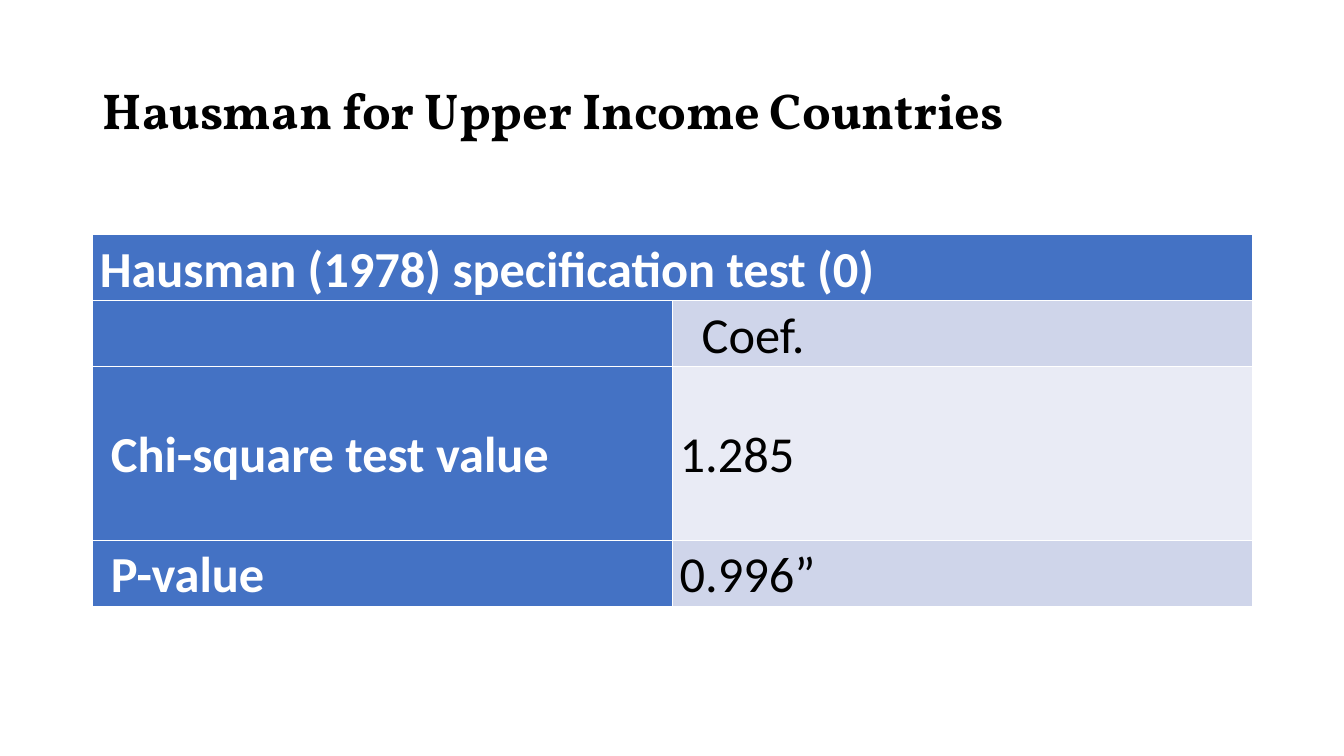
import pptx
import pptx.dml.color
import pptx.enum.text
import pptx.util

Inches = pptx.util.Inches
Pt = pptx.util.Pt
ANCHOR = pptx.enum.text.MSO_ANCHOR
ALIGN = pptx.enum.text.PP_ALIGN

HEADER_FILL = "4472C4"
BAND_FILLS = ["CFD5EA", "E9EBF5"]
SPACE_WIDTH = 0.11
ROW_HEIGHTS = [0.63, 0.63, 1.72, 0.65]
HEADING = "Hausman (1978) specification test (0)"
RESULTS = [
    ("", 0, "Coef.", 2),
    ("Chi-square test value", 1, "1.285", 0),
    ("P-value", 1, "0.996”", 0),
]


def color(value):
    return pptx.dml.color.RGBColor.from_string(value)


def style_text(paragraph, font_name, text_color, bold, alignment, line_spacing):
    paragraph.alignment = alignment
    paragraph.line_spacing = line_spacing
    paragraph.font.name = font_name
    paragraph.font.size = Pt(36)
    paragraph.font.bold = bold
    paragraph.font.color.rgb = color(text_color)


def add_title(slide, left, top, width, height):
    title = slide.shapes.title
    title.left, title.top = Inches(left), Inches(top)
    title.width, title.height = Inches(width), Inches(height)
    frame = title.text_frame
    frame.text = "Hausman for Upper Income Countries"
    frame.word_wrap = True
    frame.auto_size = pptx.enum.text.MSO_AUTO_SIZE.NONE
    frame.vertical_anchor = ANCHOR.MIDDLE
    style_text(frame.paragraphs[0], "Vollkorn", "000000", True, ALIGN.LEFT, 0.9)


def fill_cell(cell, text, fill, text_color, bold, indent=0):
    cell.text = text
    cell.fill.solid()
    cell.fill.fore_color.rgb = color(fill)
    cell.vertical_anchor = ANCHOR.MIDDLE
    cell.margin_left = Inches(0.07 + indent * SPACE_WIDTH)
    cell.margin_right = Inches(0.07)
    cell.margin_top = cell.margin_bottom = 0
    style_text(cell.text_frame.paragraphs[0], "Calibri", text_color, bold, ALIGN.JUSTIFY, 1.07)


def add_results_table(slide, left, top, width, height):
    table = slide.shapes.add_table(
        len(ROW_HEIGHTS), 2, Inches(left), Inches(top), Inches(width), Inches(height)
    ).table
    table.first_col = True
    for row, row_height in zip(table.rows, ROW_HEIGHTS):
        row.height = Inches(row_height)
    table.cell(0, 0).merge(table.cell(0, 1))
    fill_cell(table.cell(0, 0), HEADING, HEADER_FILL, "FFFFFF", True)
    for index, (label, label_indent, value, value_indent) in enumerate(RESULTS):
        row = index + 1
        fill_cell(table.cell(row, 0), label, HEADER_FILL, "FFFFFF", True, label_indent)
        fill_cell(table.cell(row, 1), value, BAND_FILLS[index % 2], "000000", False, value_indent)


def main():
    presentation = pptx.Presentation()
    presentation.slide_width = Inches(13.33)
    presentation.slide_height = Inches(7.5)
    slide = presentation.slides.add_slide(presentation.slide_layouts[5])
    add_title(slide, 0.92, 0.4, 11.5, 1.45)
    add_results_table(slide, 0.92, 2.33, 11.5, sum(ROW_HEIGHTS))
    presentation.save("out.pptx")


if __name__ == "__main__":
    main()
